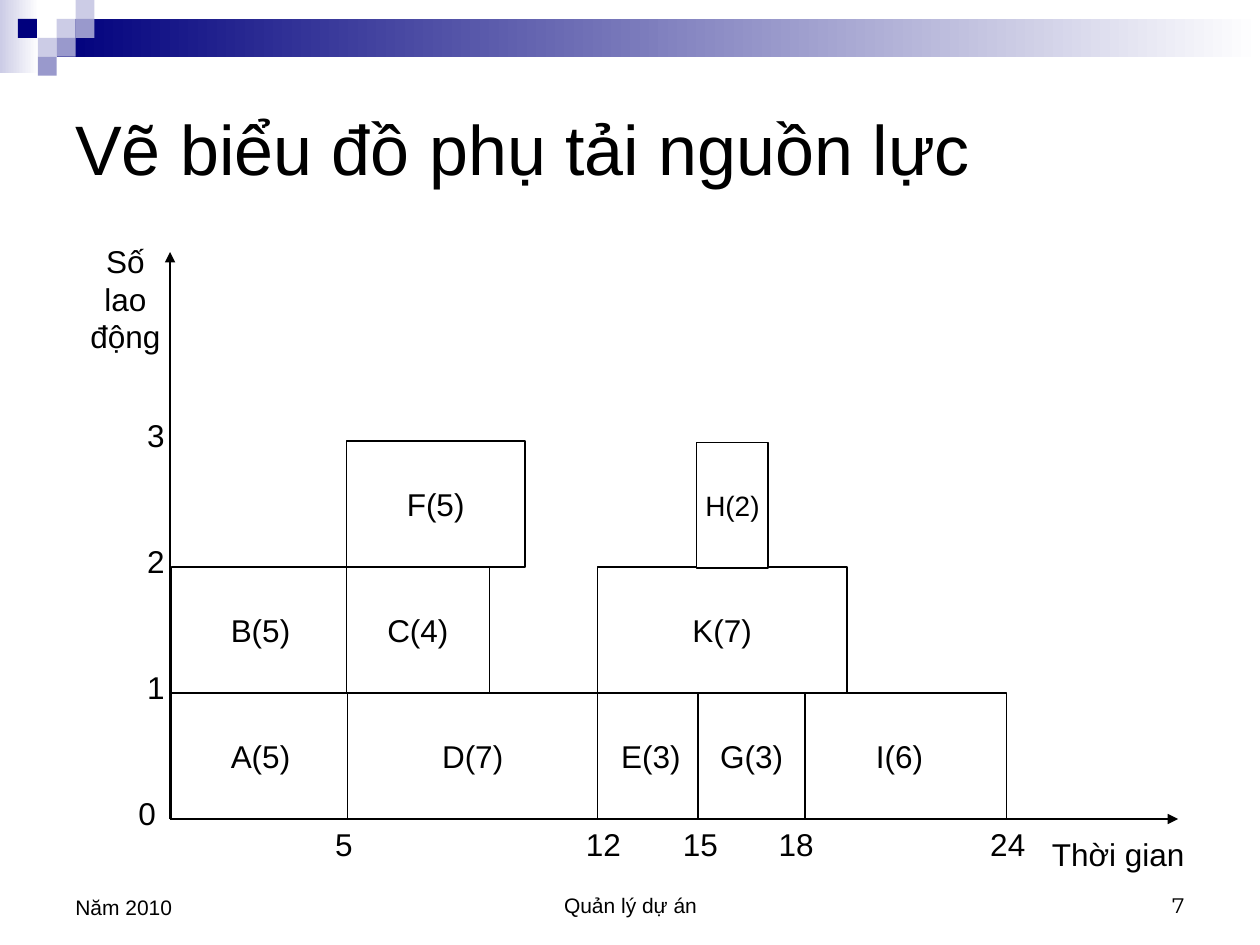
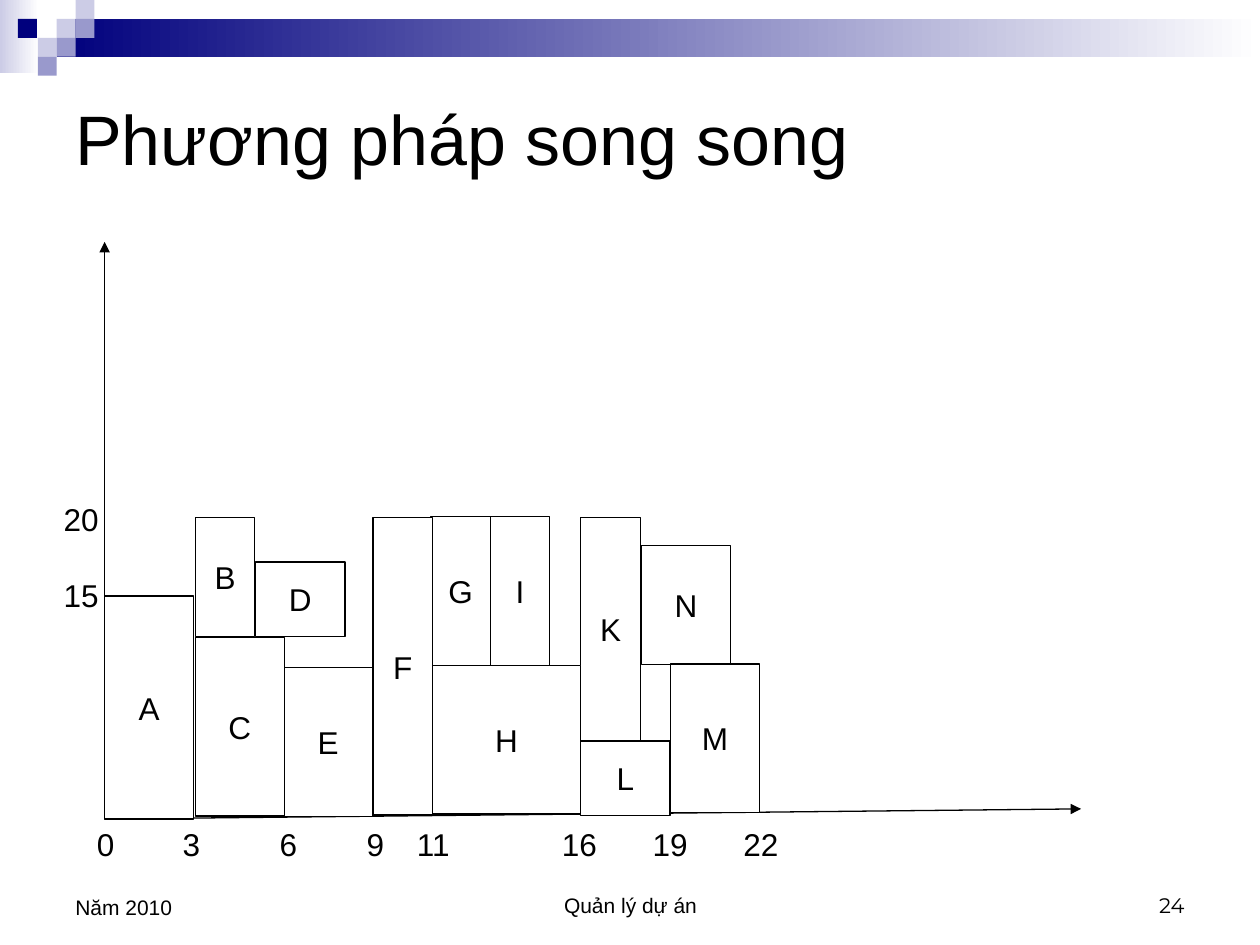
from dataclasses import dataclass

from lxml import etree
from pptx import Presentation
from pptx import util as u
from pptx.dml.color import RGBColor
from pptx.enum import shapes, text
from pptx.oxml import ns


@dataclass(frozen=True)
class Theme:
    ink: str = "000000"
    paper: str = "FFFFFF"
    navy: str = "00007D"
    lilac: str = "9999CC"
    mist: str = "CCCCE6"
    font: str = "Arial"
    number_font: str = "Montserrat"
    title: int = 40
    label: int = 18
    small_label: int = 16
    footer: int = 12
    outline: float = 0.75


theme = Theme()
LEFT, CENTER, RIGHT = text.PP_ALIGN.LEFT, text.PP_ALIGN.CENTER, text.PP_ALIGN.RIGHT
TOP, MIDDLE, BOTTOM = text.MSO_ANCHOR.TOP, text.MSO_ANCHOR.MIDDLE, text.MSO_ANCHOR.BOTTOM

# The slide is a grid of 10 columns by 7.5 rows of one cell each.
CELL = u.Inches(1)
COLUMNS, ROWS = 10, 7.5
INSET = 0.1
LABEL_ROW = 0.4
BASELINE = 6.5


def block(slide, at, colour=None, outlined=False):
    """Place a rectangle in grid cells; without a colour it is a text box."""
    place = [round(CELL * cells) for cells in at]
    if colour is None:
        return slide.shapes.add_textbox(*place)
    shape = slide.shapes.add_shape(shapes.MSO_SHAPE.RECTANGLE, *place)
    shape.shadow.inherit = False
    shape.fill.solid()
    shape.fill.fore_color.rgb = RGBColor.from_string(colour)
    if outlined:
        shape.line.color.rgb = RGBColor.from_string(theme.ink)
        shape.line.width = u.Pt(theme.outline)
    else:
        shape.line.fill.background()
    return shape


def write(shape, lines, size=theme.label, align=LEFT, anchor=TOP, wrap=True,
          font=theme.font, gap=0, stops=(), **margins):
    """Write one paragraph per line; stops are centred tabs in grid cells."""
    frame = shape.text_frame
    frame_format = {"word_wrap": wrap, "vertical_anchor": anchor, **margins}
    for name, value in frame_format.items():
        setattr(frame, name, value)
    for index, line in enumerate(lines):
        paragraph = frame.add_paragraph() if index else frame.paragraphs[0]
        paragraph.alignment = align
        if index:
            paragraph.space_before = u.Pt(gap)
        if stops:
            tabs = etree.SubElement(paragraph._p.get_or_add_pPr(), ns.qn("a:tabLst"))
            for stop in stops:
                etree.SubElement(tabs, ns.qn("a:tab"), pos=str(round(CELL * stop)), algn="ctr")
        run = paragraph.add_run()
        run.text = line
        for name, value in {"size": u.Pt(size), "name": font}.items():
            setattr(run.font, name, value)
        run.font.color.rgb = RGBColor.from_string(theme.ink)


# Fading bands and the mosaic of squares at the top of each slide
bands = [((0, 0, 0.31, 0.58), theme.mist), ((0.45, 0.15, 9.55, 0.3), theme.navy)]
SQUARE = 0.15
mosaic = [(3, 1, theme.mist), (4, 0, theme.mist), (4, 1, theme.lilac),
          (2, 2, theme.mist), (0.95, 1, theme.navy), (3, 2, theme.lilac),
          (2, 3, theme.lilac)]

# Activities: name, days, start column, top row (and workers in the second chart)
LOAD_DAY = 1.7 / 6
load = [("A", 5, 1.36, 5.5), ("D", 7, 2.76, 5.5), ("E", 3, 4.74, 5.5),
        ("I", 6, 6.29, 5.5), ("G", 3, 5.54, 5.5), ("B", 5, 1.36, 4.5),
        ("F", 5, 2.75, 3.5), ("K", 7, 4.74, 4.5), ("H", 2, 5.53, 3.51),
        ("C", 4, 2.75, 4.5)]
PARALLEL_DAY, WORKER = 1.18 / 5, 1.18 / 10
parallel = [("B", 2, 8, 1.55, 4.11), ("G", 2, 10, 3.42, 4.1), ("I", 2, 10, 3.89, 4.1),
            ("F", 2, 20, 2.96, 4.11), ("A", 3, 15, 0.83, 4.73), ("D", 3, 5, 2.03, 4.46),
            ("N", 3, 8, 5.09, 4.33), ("E", 3, 10, 2.25, 5.3), ("K", 2, 15, 4.61, 4.11),
            ("H", 5, 10, 3.43, 5.28), ("C", 3, 12, 1.55, 5.06), ("L", 3, 5, 4.61, 5.88),
            ("M", 3, 10, 5.32, 5.27)]

charts = [
    {
        "title": "Vẽ biểu đồ phụ tải nguồn lực",
        "title_at": (0.5, 0.42, 9, 1.5),
        "title_margins": {},
        "page": "7",
        "origin": 1.35,
        "axis_ends": [(1.35, 2), (9.35, 6.5)],
        "activities": [(f"{name}({days})", (start, top, days * LOAD_DAY, 1))
                       for name, days, start, top in load],
        "small": {"H(2)"},
        "time_rows": [(2.5, 0.42, {"5": 2.73}),
                      (4.42, 4, {"12": 4.79, "15": 5.56, "18": 6.32, "24": 8})],
    },
    {
        "title": "Phương pháp song song",
        "title_at": (0.5, 0.83, 9, 1.17),
        "title_margins": {"margin_top": 0, "margin_bottom": u.Inches(0.65)},
        "page": "24",
        "origin": 0.83,
        "axis_ends": [(0.83, 1.92), (8.58, 6.42)],
        "activities": [(name, (start, top, days * PARALLEL_DAY, workers * WORKER))
                       for name, days, workers, start, top in parallel],
        "small": set(),
        "time_rows": [(0.67, 5.61, {"0": 0.83, "3": 1.52, "6": 2.29, "9": 2.98,
                                    "11": 3.44, "16": 4.6, "19": 5.32, "22": 6.04})],
    },
]

deck = Presentation()
deck.slide_width, deck.slide_height = CELL * COLUMNS, round(CELL * ROWS)
built = []

for chart in charts:
    slide = deck.slides.add_slide(deck.slide_layouts[6])
    built.append(slide)

    for at, colour in bands:
        fade = block(slide, at, colour).fill
        fade.gradient()
        fade.gradient_angle = 0
        for stop, shade in zip(fade.gradient_stops, (colour, theme.paper)):
            stop.color.rgb = RGBColor.from_string(shade)
        for stop, position in zip(fade.gradient_stops, (0, 1)):
            stop.position = position
    for column, row, colour in mosaic:
        block(slide, (column * SQUARE, row * SQUARE, SQUARE, SQUARE), colour)

    write(block(slide, chart["title_at"]), [chart["title"]], size=theme.title,
          anchor=MIDDLE, **chart["title_margins"])

    for end in chart["axis_ends"]:
        ends = [round(CELL * cells) for cells in (chart["origin"], BASELINE, *end)]
        axis = slide.shapes.add_connector(shapes.MSO_CONNECTOR.STRAIGHT, *ends)
        axis.line.color.rgb = RGBColor.from_string(theme.ink)
        axis.line.width = u.Pt(theme.outline)
        etree.SubElement(axis.line._get_or_add_ln(), ns.qn("a:tailEnd"), type="triangle")
        etree.SubElement(axis._element.spPr, ns.qn("a:effectLst"))

    for activity, at in chart["activities"]:
        size = theme.small_label if activity in chart["small"] else theme.label
        write(block(slide, at, theme.paper, outlined=True), [activity], size=size,
              align=CENTER, anchor=MIDDLE, wrap=False)

    for left, width, ticks in chart["time_rows"]:
        write(block(slide, (left, BASELINE, width, LABEL_ROW)),
              ["".join("\t" + day for day in ticks)],
              stops=[center - left - INSET for center in ticks.values()])

    footers = [("Quản lý dự án", (3.42, 6.83, 3.17, 0.5), CENTER, theme.font),
               (chart["page"], (7.17, 6.83, 2.33, 0.5), RIGHT, theme.number_font),
               ("Năm 2010", (0.5, 6.83, 2.33, 0.52), LEFT, theme.font)]
    for words, at, align, font in footers:
        write(block(slide, at), [words], size=theme.footer, align=align,
              anchor=BOTTOM, font=font)

# Labels of the vertical axes
load_slide, parallel_slide = built
write(block(load_slide, (0.58, 1.87, 0.83, 1)), ["Số lao động"], align=CENTER)
write(block(load_slide, (8.25, 6.58, 1.25, LABEL_ROW)), ["Thời gian"], wrap=False)
for level in range(4):
    left = 1.07 if level else 1
    write(block(load_slide, (left, 6.25 - level, 0.34, LABEL_ROW)), [str(level)], wrap=False)
write(block(parallel_slide, (0.33, 3.92, 0.63, 1)), ["20", "15"], align=CENTER, gap=22)

deck.save("out.pptx")
